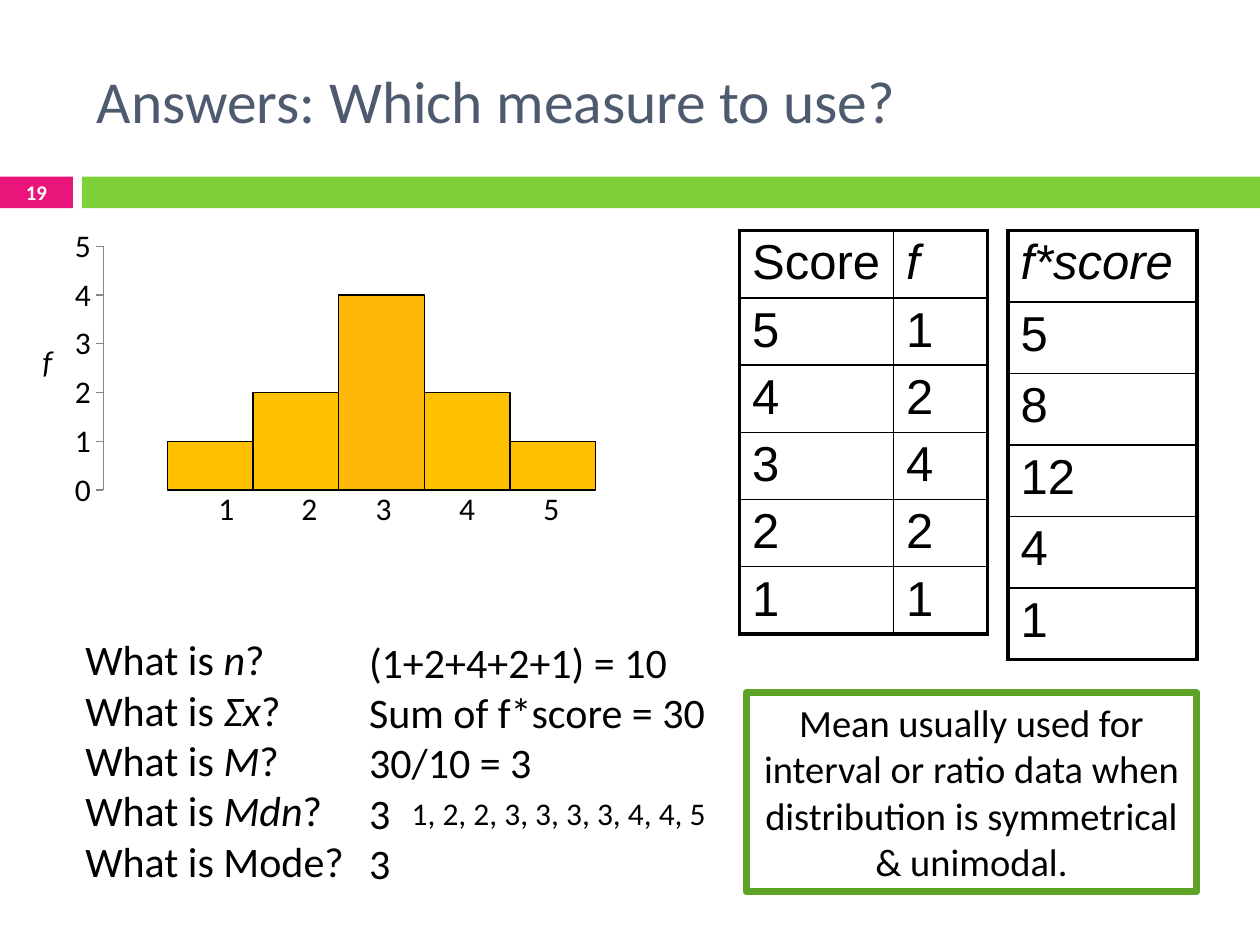
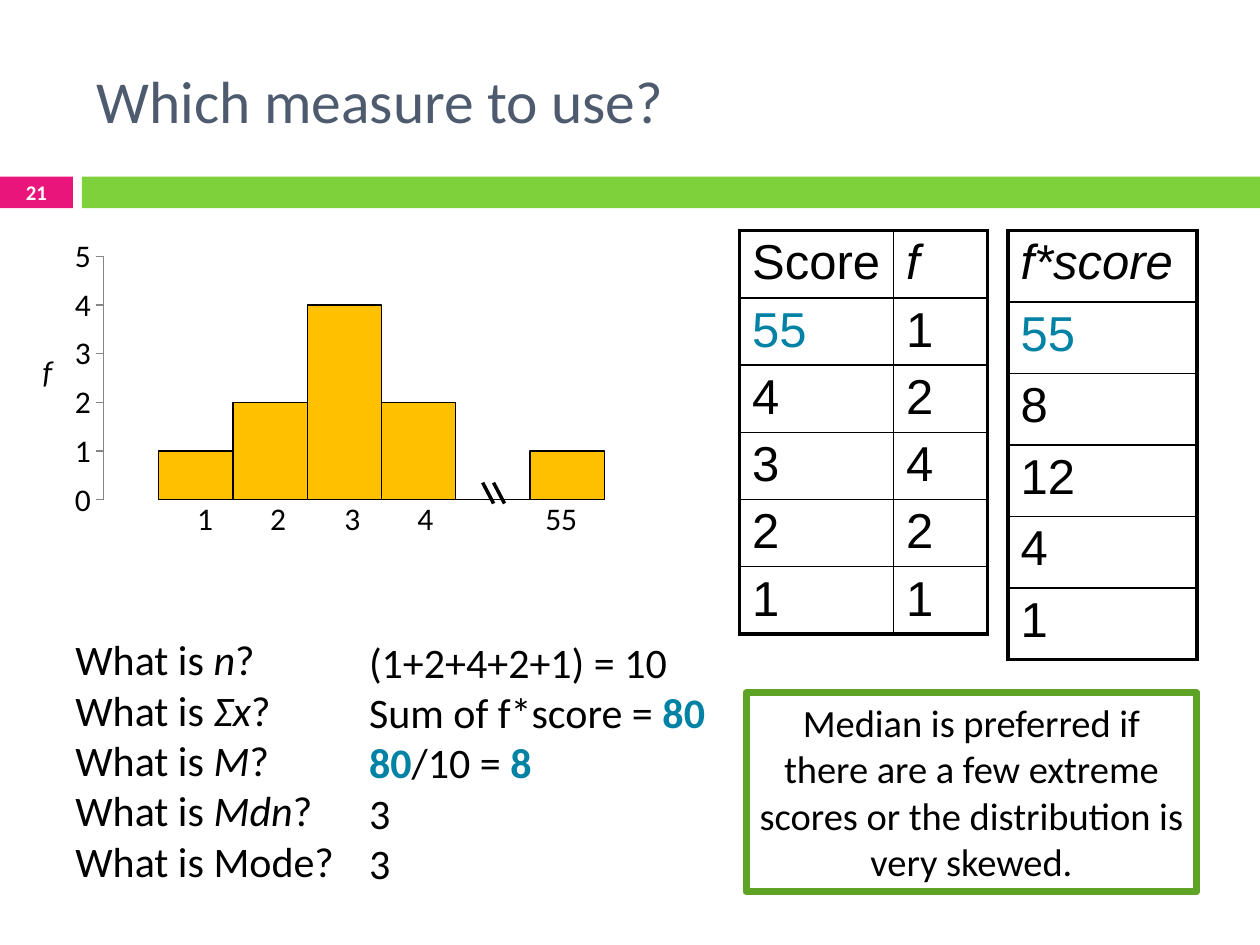
from dataclasses import dataclass
from typing import NamedTuple

from lxml import etree
from pptx import Presentation
from pptx.chart.data import CategoryChartData
from pptx.dml.color import RGBColor
from pptx.enum.chart import XL_CHART_TYPE, XL_TICK_MARK
from pptx.enum.shapes import MSO_CONNECTOR, MSO_SHAPE
from pptx.enum.text import MSO_ANCHOR, MSO_AUTO_SIZE, PP_ALIGN
from pptx.oxml.ns import qn
from pptx.util import Cm, Pt

COLUMNS = XL_CHART_TYPE.COLUMN_CLUSTERED
TICK_OUTSIDE = XL_TICK_MARK.OUTSIDE
STRAIGHT = MSO_CONNECTOR.STRAIGHT
RECTANGLE = MSO_SHAPE.RECTANGLE
TOP, MIDDLE = MSO_ANCHOR.TOP, MSO_ANCHOR.MIDDLE
LEFT, CENTER = PP_ALIGN.LEFT, PP_ALIGN.CENTER
NO_AUTOFIT = MSO_AUTO_SIZE.NONE

BLACK = RGBColor(0x00, 0x00, 0x00)
WHITE = RGBColor(0xFF, 0xFF, 0xFF)
SLATE = RGBColor(0x4E, 0x5B, 0x6F)
PINK = RGBColor(0xEA, 0x15, 0x7A)
GREEN = RGBColor(0x7F, 0xD1, 0x3B)
DARK_GREEN = RGBColor(0x5F, 0xA3, 0x26)
TEAL = RGBColor(0x00, 0x82, 0xA5)
GOLD = RGBColor(0xFF, 0xC0, 0x00)
ORANGE = RGBColor(0xFE, 0xB8, 0x0A)
GRAY = RGBColor(0x86, 0x86, 0x86)

BODY_FONT = "Calibri"
TABLE_FONT = "Arial"
TITLE_ONLY = 5
OUTER_BORDER, INNER_BORDER = Pt(2.25), Pt(1)
BREAK_STEP = 0.22
PLOT_LAYOUT = {"x": 0.066, "y": 0.087, "w": 0.915, "h": 0.83}
QUESTIONS = [
    "What is _n_?",
    "What is _Σx_?",
    "What is _M_?",
    "What is _Mdn_?",
    "What is Mode?",
]


class Box(NamedTuple):
    """A place on the slide, in centimetres."""

    left: float
    top: float
    width: float
    height: float

    def lengths(self) -> list[Cm]:
        return [Cm(value) for value in self]


class Bar(NamedTuple):
    frequency: int
    color: RGBColor = GOLD


class AxisLabel(NamedTuple):
    text: str
    left: float


@dataclass
class MeasureSlide:
    title: str
    number: str
    chart_top: float
    bars: list[Bar]
    axis_labels: list[AxisLabel]
    top_score: str
    top_product: str
    questions_left: float
    answers: list[str]
    conclusion: str
    sorted_scores: str = ""
    axis_breaks: tuple[float, ...] = ()


SLIDES = [
    MeasureSlide(
        title="Answers: Which measure to use?",
        number="19",
        chart_top=4.45,
        bars=[Bar(1), Bar(2), Bar(4, ORANGE), Bar(2), Bar(1)],
        axis_labels=[
            AxisLabel("1", 3.61), AxisLabel("2", 5.28), AxisLabel("3", 6.78),
            AxisLabel("4", 8.46), AxisLabel("5", 10.16),
        ],
        top_score="5",
        top_product="5",
        questions_left=1.47,
        answers=["(1+2+4+2+1) = 10", "Sum of f*score = 30", "30/10 = 3", "3", "3"],
        conclusion="Mean usually used for interval or ratio data when "
                   "distribution is symmetrical & unimodal.",
        sorted_scores="1, 2, 2, 3, 3, 3, 3, 4, 4, 5",
    ),
    MeasureSlide(
        title="Which measure to use?",
        number="21",
        chart_top=4.65,
        bars=[Bar(1), Bar(2), Bar(4), Bar(2), Bar(0), Bar(1)],
        axis_labels=[
            AxisLabel("1", 3.18), AxisLabel("2", 4.65), AxisLabel("3", 6.15),
            AxisLabel("4", 7.62), AxisLabel("55", 10.36),
        ],
        top_score="~55~",
        top_product="~55~",
        questions_left=1.27,
        answers=["(1+2+4+2+1) = 10", "Sum of f*score = ~80~",
                 "~80~/10 = ~8~", "3", "3"],
        conclusion="Median is preferred if there are a few extreme scores "
                   "or the distribution is very skewed.",
        axis_breaks=(9.73, 9.95),
    ),
]


def write_text(frame, *lines: str, size: float, color: RGBColor = BLACK,
               font: str = BODY_FONT, bold: bool = False, accent_bold: bool = True,
               align=LEFT, anchor=TOP) -> None:
    """Write one paragraph a line; _..._ is italic and ~...~ is accented."""
    frame.word_wrap = True
    frame.auto_size = NO_AUTOFIT
    frame.vertical_anchor = anchor
    for index, line in enumerate(lines):
        paragraph = frame.add_paragraph() if index else frame.paragraphs[0]
        paragraph.alignment = align
        for accent_index, accent_part in enumerate(line.split("~")):
            accented = accent_index % 2 == 1
            for italic_index, part in enumerate(accent_part.split("_")):
                if not part:
                    continue
                run = paragraph.add_run()
                run.text = part
                run.font.name = font
                run.font.size = Pt(size)
                run.font.italic = italic_index % 2 == 1
                run.font.bold = bold or (accented and accent_bold)
                run.font.color.rgb = TEAL if accented else color


def add_text(slide, box: Box, *lines: str, **text_format) -> None:
    shape = slide.shapes.add_textbox(*box.lengths())
    write_text(shape.text_frame, *lines, **text_format)


def add_rectangle(slide, box: Box, fill: RGBColor | None = None,
                  line: RGBColor | None = None, line_width: float = 1):
    shape = slide.shapes.add_shape(RECTANGLE, *box.lengths())
    shape.shadow.inherit = False
    if fill is None:
        shape.fill.background()
    else:
        shape.fill.solid()
        shape.fill.fore_color.rgb = fill
    if line is None:
        shape.line.fill.background()
    else:
        shape.line.color.rgb = line
        shape.line.width = Pt(line_width)
    return shape


def add_header(slide, title: str, number: str) -> None:
    add_rectangle(slide, Box(1.65, 3.56, 23.75, 0.64), fill=GREEN)
    number_band = add_rectangle(slide, Box(0, 3.56, 1.47, 0.64), fill=PINK)
    frame = number_band.text_frame
    frame.margin_top = frame.margin_bottom = 0
    write_text(frame, number, size=11.9, color=WHITE, bold=True,
               align=CENTER, anchor=MIDDLE)

    placeholder = slide.shapes.title
    placeholder.left, placeholder.top, placeholder.width, placeholder.height = (
        Box(1.7, 0.64, 22.66, 2.74).lengths())
    write_text(placeholder.text_frame, title, size=34, color=SLATE, anchor=MIDDLE)


def set_borders(cell, widths: dict[str, int]) -> None:
    properties = cell._tc.get_or_add_tcPr()
    for side, width in widths.items():
        line = etree.SubElement(properties, qn(f"a:ln{side}"), w=str(width))
        fill = etree.SubElement(line, qn("a:solidFill"))
        etree.SubElement(fill, qn("a:srgbClr"), val=str(BLACK))


def add_score_table(slide, left: float, height: float, column_widths: list[float],
                    rows: list[list[str]]) -> None:
    box = Box(left, 4.65, sum(column_widths), height)
    table = slide.shapes.add_table(len(rows), len(column_widths), *box.lengths()).table
    table.first_row = table.horz_banding = False
    for column, width in zip(table.columns, column_widths):
        column.width = Cm(width)
    last_row, last_column = len(rows) - 1, len(column_widths) - 1
    for row_index, row in enumerate(rows):
        for column_index, text in enumerate(row):
            cell = table.cell(row_index, column_index)
            on_edge = {
                "L": column_index == 0,
                "R": column_index == last_column,
                "T": row_index == 0,
                "B": row_index == last_row,
            }
            set_borders(cell, {side: OUTER_BORDER if outer else INNER_BORDER
                               for side, outer in on_edge.items()})
            cell.fill.background()
            cell.margin_top = cell.margin_bottom = Cm(0.1)
            write_text(cell.text_frame, text, size=28, font=TABLE_FONT,
                       accent_bold=False)


def set_plot_layout(chart) -> None:
    plot_area = chart._chartSpace.chart.plotArea
    for old_layout in plot_area.findall(qn("c:layout")):
        plot_area.remove(old_layout)
    layout = etree.Element(qn("c:layout"))
    manual = etree.SubElement(layout, qn("c:manualLayout"))
    etree.SubElement(manual, qn("c:layoutTarget"), val="inner")
    for name in "xy":
        etree.SubElement(manual, qn(f"c:{name}Mode"), val="edge")
    for name, value in PLOT_LAYOUT.items():
        etree.SubElement(manual, qn(f"c:{name}"), val=str(value))
    plot_area.insert(0, layout)


def add_histogram(slide, top: float, bars: list[Bar]) -> None:
    data = CategoryChartData()
    data.categories = ["1"]
    for index, bar in enumerate(bars, start=1):
        data.add_series(f"Series {index}", [bar.frequency])
    box = Box(1.27, top, 12.27, 5.92)
    chart = slide.shapes.add_chart(COLUMNS, *box.lengths(), data).chart
    chart.has_legend = chart.has_title = False
    chart.font.name = BODY_FONT
    chart.font.size = Pt(18)
    chart.font.color.rgb = BLACK
    chart.category_axis.visible = False

    axis = chart.value_axis
    axis.minimum_scale, axis.maximum_scale, axis.major_unit = 0, 5, 1
    axis.has_major_gridlines = False
    axis.major_tick_mark = TICK_OUTSIDE
    axis.format.line.color.rgb = GRAY

    plot = chart.plots[0]
    plot.gap_width, plot.overlap, plot.vary_by_categories = 150, 0, False
    for series, bar in zip(plot.series, bars):
        series.format.fill.solid()
        series.format.fill.fore_color.rgb = bar.color
        series.format.line.color.rgb = BLACK
        series.format.line.width = Pt(0.75)
    set_plot_layout(chart)


def add_axis_break(slide, left: float, top: float) -> None:
    line = slide.shapes.add_connector(
        STRAIGHT, Cm(left), Cm(top), Cm(left + BREAK_STEP), Cm(top + 0.42))
    line.line.color.rgb = BLACK
    line.line.width = Pt(2)
    etree.SubElement(line._element.spPr, qn("a:effectLst"))


def build_slide(presentation, content: MeasureSlide) -> None:
    slide = presentation.slides.add_slide(presentation.slide_layouts[TITLE_ONLY])
    add_header(slide, content.title, content.number)

    scores = [content.top_score, "4", "3", "2", "1"]
    frequencies = ["1", "2", "4", "2", "1"]
    products = [content.top_product, "8", "12", "4", "1"]
    add_score_table(slide, 14.91, 8.13, [3.1, 1.9],
                    [["Score", "_f_"], *map(list, zip(scores, frequencies))])
    add_score_table(slide, 20.32, 8.64, [3.81],
                    [["_f*score_"], *([product] for product in products)])

    add_text(slide, Box(content.questions_left, 12.65, 6.1, 5.38), *QUESTIONS, size=24)
    add_text(slide, Box(7.19, 12.7, 7.62, 5.38), *content.answers, size=24)
    if content.sorted_scores:
        add_text(slide, Box(8.05, 15.88, 7.19, 1.02), content.sorted_scores, size=18)
    conclusion = add_rectangle(slide, Box(15.04, 13.97, 9.09, 4.01),
                               line=DARK_GREEN, line_width=4)
    write_text(conclusion.text_frame, content.conclusion, size=22, align=CENTER)

    add_histogram(slide, content.chart_top, content.bars)
    for label in content.axis_labels:
        add_text(slide, Box(label.left, content.chart_top + 5.29, 1.91, 1.07),
                 label.text, size=18, align=CENTER)
    add_text(slide, Box(0, content.chart_top + 2.33, 1.91, 1.07), "_f_",
             size=18, align=CENTER)
    for left in content.axis_breaks:
        add_axis_break(slide, left, content.chart_top + 5.08)


def main() -> None:
    presentation = Presentation()
    presentation.slide_width, presentation.slide_height = Cm(25.4), Cm(19.05)
    for content in SLIDES:
        build_slide(presentation, content)
    presentation.save("out.pptx")


if __name__ == "__main__":
    main()
